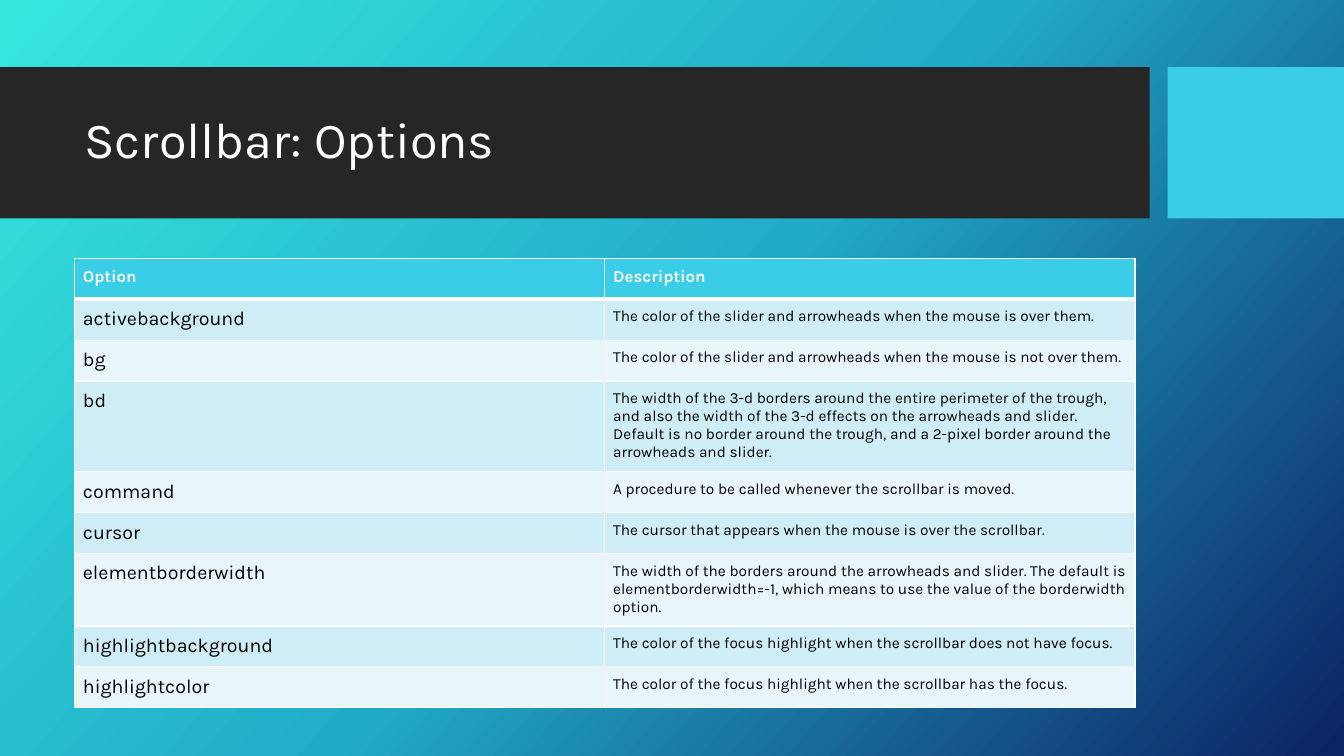
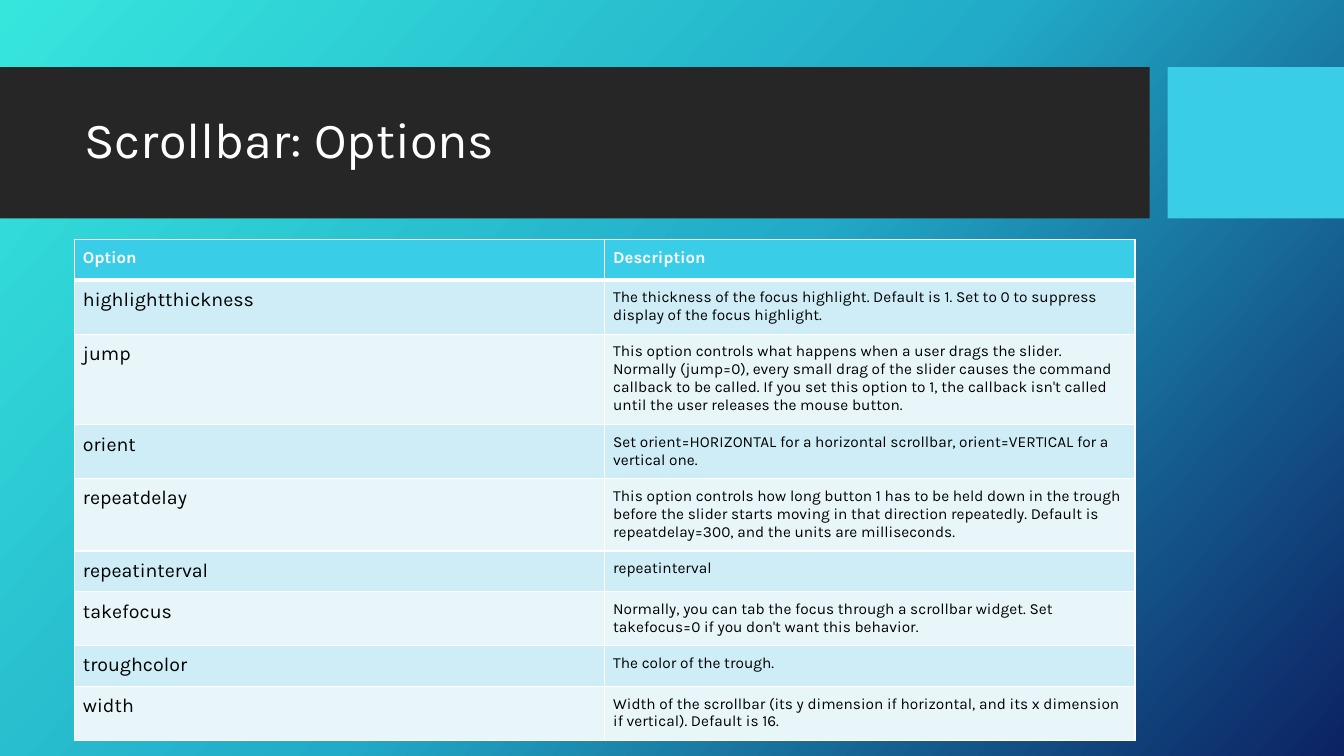
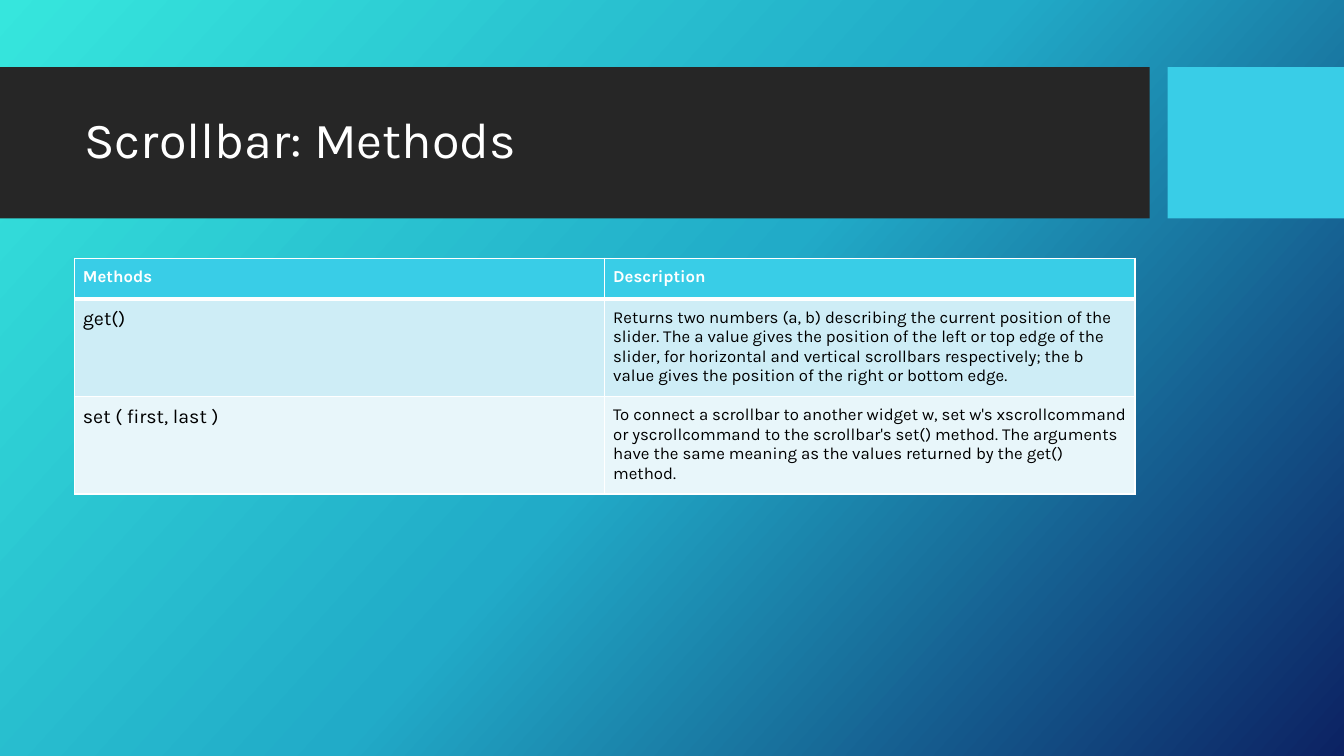
from copy import deepcopy
from dataclasses import dataclass

from lxml.etree import SubElement as Sub
from pptx import Presentation
from pptx.dml.color import RGBColor as RGB
from pptx.enum.shapes import MSO_SHAPE as Shape
from pptx.enum.text import MSO_ANCHOR as Anchor
from pptx.oxml.ns import qn
from pptx.util import Emu, Pt

SCALE = 9525


def px(n):
    """Turn whole pixels into EMU."""
    return Emu(n * SCALE)


@dataclass(frozen=True)
class Theme:
    """Colours, font and type sizes of the deck."""
    font: str = "Karla"
    dark: str = "262626"
    sky: str = "39CDE7"
    white: str = "FFFFFF"
    ink: str = "000000"
    bands: tuple = ("CEEDF6", "E8F6FA")
    grad: tuple = ((0, "36E6DD"), (0.5, "21ABC8"), (1, "0C2263"))
    angle: int = 42
    title: int = 36
    head: int = 12
    name: int = 14
    note: int = 11
    thin: int = 1
    thick: int = 3


class Deck:
    """Hold the style and the current slide."""

    def __init__(self, theme):
        """Start an empty deck with a shared backdrop."""
        self.theme = theme
        self.prs = Presentation()
        self.prs.slide_width, self.prs.slide_height = px(1280), px(720)
        self.slide = None
        self.backdrop()

    def backdrop(self):
        """Give the master its gradient."""
        master = self.prs.slide_master
        fill = master.background.fill
        fill.gradient()
        fill.gradient_angle = 360 - self.theme.angle
        stops = master.element.find(".//" + qn("a:gsLst"))
        stops.insert(1, deepcopy(stops[0]))
        for stop, (pos, tint) in zip(fill.gradient_stops, self.theme.grad):
            stop.position = pos
            stop.color.rgb = RGB.from_string(tint)

    def page(self, title):
        """Open a slide with its bands and title."""
        self.slide = self.prs.slides.add_slide(self.prs.slide_layouts[6])
        self.band(0, 1095, self.theme.dark)
        self.band(1112, 168, self.theme.sky)
        self.title(title)

    def band(self, left, width, tint):
        """Draw one block of the title band."""
        box = self.slide.shapes.add_shape(
            Shape.RECTANGLE, px(left), px(64), px(width), px(144))
        box.shadow.inherit = False
        box.fill.solid()
        box.fill.fore_color.rgb = RGB.from_string(tint)
        box.line.fill.background()

    def title(self, text):
        """Write the slide title."""
        box = self.slide.shapes.add_textbox(px(71), px(79), px(1009), px(113))
        frame = box.text_frame
        frame.word_wrap = True
        frame.vertical_anchor = Anchor.MIDDLE
        para = frame.paragraphs[0]
        para.line_spacing = 0.9
        self.run(para, text, self.theme.title, self.theme.white)

    def run(self, para, text, size, tint, bold=False):
        """Add one styled run."""
        run = para.add_run()
        run.text = text
        font = run.font
        font.name, font.size, font.bold = self.theme.font, Pt(size), bold
        font.color.rgb = RGB.from_string(tint)

    def table(self, top, heads, rows, note=None):
        """Add a two-column table with a header row."""
        look = self.theme
        count = len(rows) + 1
        grid = self.slide.shapes.add_table(
            count, 2, px(71), px(top), px(1010), px(39 * count)).table
        sizes = (look.name, note or look.note)
        for i, row in enumerate([heads, *rows]):
            for j, text in enumerate(row):
                cell = grid.cell(i, j)
                if i == 0:
                    fill, style = look.sky, (look.head, look.white, True)
                else:
                    fill, style = look.bands[(i - 1) % 2], (sizes[j], look.ink)
                self.cell(cell, i, fill)
                self.run(cell.text_frame.paragraphs[0], text, *style)

    def cell(self, cell, row, tint):
        """Set the insets, borders and fill of a cell."""
        look = self.theme
        cell.margin_left = cell.margin_right = px(8)
        cell.margin_top = cell.margin_bottom = px(8)
        props = cell._tc.get_or_add_tcPr()
        heavy = {0: "B", 1: "T"}.get(row)
        for side in "LRTB":
            width = look.thick if side == heavy else look.thin
            line = Sub(props, qn("a:ln" + side), w=str(Pt(width)))
            Sub(Sub(line, qn("a:solidFill")), qn("a:srgbClr"), val=look.white)
        cell.fill.solid()
        cell.fill.fore_color.rgb = RGB.from_string(tint)


FIRST = [
    ("activebackground",
     "The color of the slider and arrowheads when the mouse is over them."),
    ("bg",
     "The color of the slider and arrowheads when the mouse is not over them."),
    ("bd",
     "The width of the 3-d borders around the entire perimeter of the trough, "
     "and also the width of the 3-d effects on the arrowheads and slider. "
     "Default is no border around the trough, and a 2-pixel border around the "
     "arrowheads and slider."),
    ("command", "A procedure to be called whenever the scrollbar is moved."),
    ("cursor", "The cursor that appears when the mouse is over the scrollbar."),
    ("elementborderwidth",
     "The width of the borders around the arrowheads and slider. The default "
     "is elementborderwidth=-1, which means to use the value of the "
     "borderwidth option."),
    ("highlightbackground",
     "The color of the focus highlight when the scrollbar does not have focus."),
    ("highlightcolor",
     "The color of the focus highlight when the scrollbar has the focus."),
]

SECOND = [
    ("highlightthickness",
     "The thickness of the focus highlight. Default is 1. Set to 0 to suppress "
     "display of the focus highlight."),
    ("jump",
     "This option controls what happens when a user drags the slider. Normally "
     "(jump=0), every small drag of the slider causes the command callback to "
     "be called. If you set this option to 1, the callback isn't called until "
     "the user releases the mouse button."),
    ("orient",
     "Set orient=HORIZONTAL for a horizontal scrollbar, orient=VERTICAL for a "
     "vertical one."),
    ("repeatdelay",
     "This option controls how long button 1 has to be held down in the trough "
     "before the slider starts moving in that direction repeatedly. Default is "
     "repeatdelay=300, and the units are milliseconds."),
    ("repeatinterval", "repeatinterval"),
    ("takefocus",
     "Normally, you can tab the focus through a scrollbar widget. Set "
     "takefocus=0 if you don't want this behavior."),
    ("troughcolor", "The color of the trough."),
    ("width",
     "Width of the scrollbar (its y dimension if horizontal, and its x "
     "dimension if vertical). Default is 16."),
]

METHODS = [
    ("get()",
     "Returns two numbers (a, b) describing the current position of the "
     "slider. The a value gives the position of the left or top edge of the "
     "slider, for horizontal and vertical scrollbars respectively; the b value "
     "gives the position of the right or bottom edge."),
    ("set ( first, last )",
     "To connect a scrollbar to another widget w, set w's xscrollcommand or "
     "yscrollcommand to the scrollbar's set() method. The arguments have the "
     "same meaning as the values returned by the get() method."),
]


def main():
    """Build the three slides."""
    deck = Deck(Theme())
    for top, rows in ((246, FIRST), (228, SECOND)):
        deck.page("Scrollbar: Options")
        deck.table(top, ("Option", "Description"), rows)
    deck.page("Scrollbar: Methods")
    deck.table(246, ("Methods", "Description"), METHODS, note=12)
    deck.prs.save("out.pptx")


if __name__ == "__main__":
    main()
